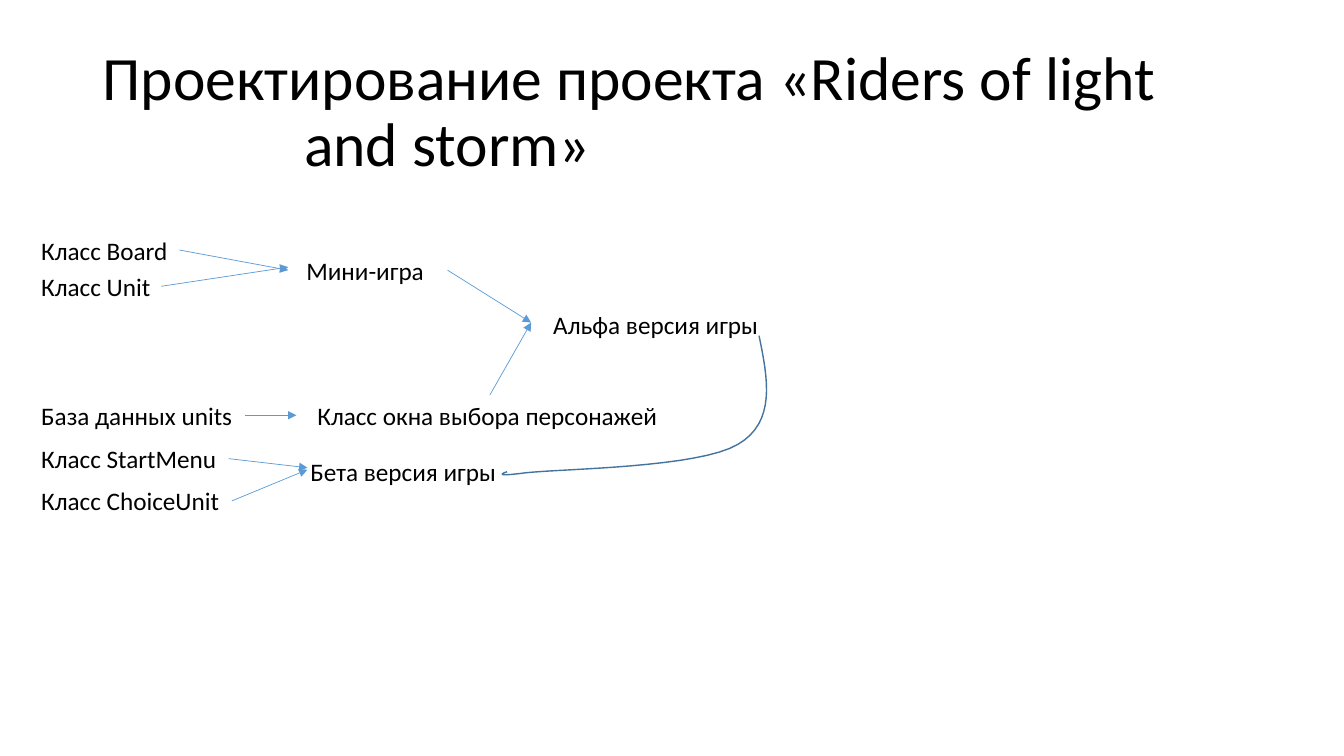
"""Build the game project design slide: classes leading to alpha and beta versions."""
from lxml.etree import SubElement
from pptx import Presentation
from pptx.dml.color import RGBColor
from pptx.enum.shapes import MSO_CONNECTOR as Link
from pptx.enum.text import MSO_ANCHOR as Anchor, MSO_AUTO_SIZE as Fit, PP_ALIGN as Align
from pptx.oxml.ns import qn
from pptx.util import Pt

BLACK = RGBColor(0x00, 0x00, 0x00)
BLUE = RGBColor(0x5B, 0x9B, 0xD5)
NAVY = RGBColor(0x43, 0x73, 0x9E)


def write(shape, text, size):
    """Put one black paragraph in the shape and return it."""
    para = shape.text_frame.paragraphs[0]
    run = para.add_run()
    run.text = text
    for name, value in {"name": "Calibri", "size": Pt(size)}.items():
        setattr(run.font, name, value)
    run.font.color.rgb = BLACK
    para.alignment = Align.LEFT
    return para


deck = Presentation()
deck.slide_width, deck.slide_height = Pt(960), Pt(540)
slide = deck.slides.add_slide(deck.slide_layouts[5])
shapes = slide.shapes

title = shapes.title
place = {"left": 66, "top": 28.75, "width": 828, "height": 104.4}
for name, value in place.items():
    setattr(title, name, Pt(value))
frame = title.text_frame
format = {"word_wrap": True, "auto_size": Fit.NONE, "vertical_anchor": Anchor.MIDDLE}
for name, value in format.items():
    setattr(frame, name, value)
para = write(title, "Проектирование проекта «Riders of light and storm»", 44)
para.line_spacing = 0.9
hang = Pt(144)
props = para._p.get_or_add_pPr()
props.set("marL", str(hang))
props.set("indent", str(-hang))

labels = [
    ("Класс Board", 22.3, 164.2, 105.8),
    ("Класс Unit", 22.3, 190.1, 92.9),
    ("База данных units", 22.3, 282.2, 152.6),
    ("Класс StartMenu", 22.3, 313.2, 141.1),
    ("Класс ChoiceUnit", 22.3, 343.4, 143.3),
    ("Мини-игра", 211.7, 178.6, 107.3),
    ("Класс окна выбора персонажей", 219.6, 282.2, 259.9),
    ("Альфа версия игры", 388.1, 217.4, 193.7),
    ("Бета версия игры", 214.6, 322.6, 149),
]
for text, left, top, width in labels:
    box = shapes.add_textbox(Pt(left), Pt(top), Pt(width), Pt(29.1))
    box.text_frame.word_wrap = False
    box.text_frame.auto_size = Fit.SHAPE_TO_FIT_TEXT
    write(box, text, 18)

arrows = [
    (128.2, 178.6, 205.9, 193),
    (115.2, 204.5, 205.9, 190.8),
    (175, 296.6, 211.7, 296.6),
    (319.7, 193, 379.4, 230.4),
    (349.9, 282.2, 379.4, 230.4),
    (163.4, 327.6, 219.6, 334.1),
    (165.6, 357.8, 219.6, 335.5),
]
for ends in arrows:
    arrow = shapes.add_connector(Link.STRAIGHT, *map(Pt, ends))
    arrow.line.color.rgb = BLUE
    arrow.line.width = Pt(0.5)
    SubElement(arrow.line._get_or_add_ln(), qn("a:tailEnd"), type="triangle")
    SubElement(arrow._element.spPr, qn("a:effectLst"))

start = (542.2, 239.8)
bends = [
    ((548.6, 270.7), (554.4, 301.7), (527, 317.5)),
    ((499, 334.1), (403.2, 334.8), (375.8, 337.7)),
    ((348.5, 341.3), (362.2, 337), (362.2, 337)),
]
steps = 16
dots = []
knot = start
for one, two, end in bends:
    for step in range(1, steps + 1):
        t = step / steps
        u = 1 - t
        dots.append([
            Pt(u**3 * a + 3 * u * u * t * b + 3 * u * t * t * c + t**3 * d)
            for a, b, c, d in zip(knot, one, two, end)
        ])
    knot = end
pen = shapes.build_freeform(Pt(start[0]), Pt(start[1]))
pen.add_line_segments(dots, close=False)
curve = pen.convert_to_shape()
curve.shadow.inherit = False
curve.fill.background()
curve.line.color.rgb = NAVY
curve.line.width = Pt(1)

deck.save("out.pptx")
